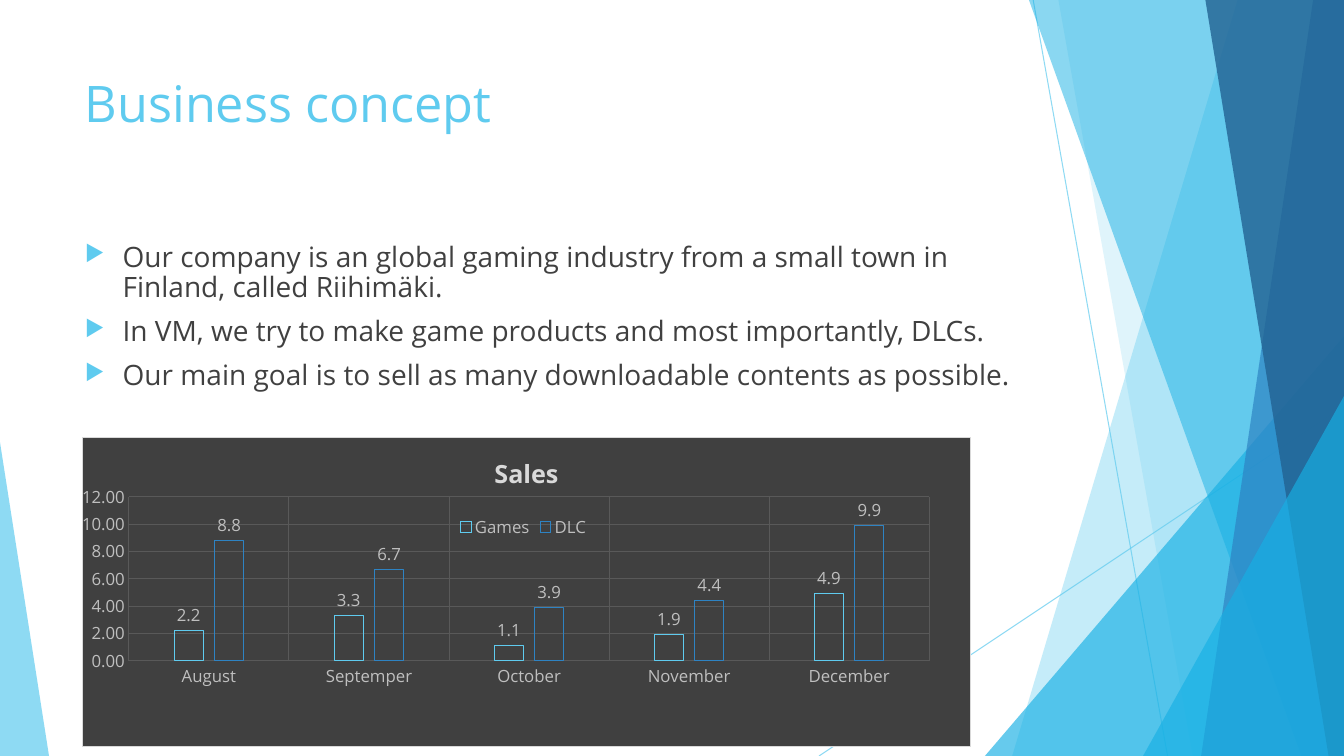
from lxml import etree
from pptx import Presentation
from pptx.chart.data import CategoryChartData
from pptx.dml.color import RGBColor
from pptx.enum.chart import XL_CHART_TYPE, XL_LABEL_POSITION, XL_LEGEND_POSITION, XL_TICK_MARK
from pptx.enum.shapes import MSO_CONNECTOR, MSO_SHAPE
from pptx.oxml import parse_xml
from pptx.oxml.ns import nsdecls, qn
from pptx.util import Pt

COLUMNS = XL_CHART_TYPE.COLUMN_CLUSTERED
OUTSIDE_END = XL_LABEL_POSITION.OUTSIDE_END
LEGEND_TOP = XL_LEGEND_POSITION.TOP
NO_TICK = XL_TICK_MARK.NONE
STRAIGHT = MSO_CONNECTOR.STRAIGHT
TRIANGLE = MSO_SHAPE.ISOSCELES_TRIANGLE

FONT = "Open Sans"
WIDTH, HEIGHT = 960, 540
COLORS = {
    "sky": "5FCBEF",
    "cyan": "17B0E4",
    "blue": "2E83C3",
    "navy": "226292",
    "dark": "404040",
    "grid": "595959",
    "label": "BFBFBF",
    "light": "D9D9D9",
}


def rgb(name):
    return RGBColor.from_string(COLORS[name])


def set_alpha(fill, percent):
    """Make a solid fill or line fill see-through."""
    color = fill._xPr.find(".//" + qn("a:srgbClr"))
    etree.SubElement(color, qn("a:alpha")).set("val", str(percent * 1000))


deck = Presentation()
deck.slide_width, deck.slide_height = Pt(WIDTH), Pt(HEIGHT)
page = deck.slides.add_slide(deck.slide_layouts[6])

# Thin crossing lines
for x1, y1, x2, y2 in [(738, 0, 834, HEIGHT), (WIDTH, 290, 585, HEIGHT)]:
    line = page.shapes.add_connector(STRAIGHT, Pt(x1), Pt(y1), Pt(x2), Pt(y2))
    line.line.width = Pt(0.75)
    line.line.color.rgb = rgb("sky")
    set_alpha(line.line.fill, 70)
    etree.SubElement(line.element.spPr, qn("a:effectLst"))

# Bands run from top to bottom along the right edge: top left x, bottom left x.
# Triangles stand on the bottom edge: left, top, width, apex position.
facets = [
    ("band", (884, 723), "sky", 36),
    ("band", (756, 852), "sky", 20),
    ("triangle", (703.5, 240, 256.5, 1), "cyan", 66),
    ("band", (735, 929.5), "cyan", 50),
    ("band", (938, 858), "blue", 70),
    ("band", (861, 949), "navy", 80),
    ("triangle", (816.5, 283, 143.5, 1), "cyan", 66),
    ("triangle", (0, 316, 35, 0), "sky", 70),
]
for kind, geometry, color, alpha in facets:
    if kind == "band":
        top_x, bottom_x = geometry
        outline = page.shapes.build_freeform(Pt(top_x), Pt(0))
        corners = [(WIDTH, 0), (WIDTH, HEIGHT), (bottom_x, HEIGHT)]
        outline.add_line_segments([(Pt(x), Pt(y)) for x, y in corners], close=True)
        facet = outline.convert_to_shape()
    else:
        left, top, width, apex = geometry
        facet = page.shapes.add_shape(TRIANGLE, Pt(left), Pt(top), Pt(width), Pt(HEIGHT - top))
        facet.adjustments[0] = apex
    facet.shadow.inherit = False
    facet.line.fill.background()
    facet.fill.solid()
    facet.fill.fore_color.rgb = rgb(color)
    set_alpha(facet.fill, alpha)

# Title and bullet list
texts = [
    (48, 104, 36, "sky", ["Business concept"]),
    (170, 305, 20, "dark", [
        "Our company is an global gaming industry from a small town in Finland, called Riihimäki.",
        "In VM, we try to make game products and most importantly, DLCs.",
        "Our main goal is to sell as many downloadable contents as possible.",
    ]),
]
for top, height, size, color, lines in texts:
    box = page.shapes.add_textbox(Pt(53.5), Pt(top), Pt(677), Pt(height))
    frame = box.text_frame
    frame.word_wrap = True
    for index, words in enumerate(lines):
        para = frame.paragraphs[0] if index == 0 else frame.add_paragraph()
        span = para.add_run()
        span.text = words
        span.font.name = FONT
        span.font.size = Pt(size)
        span.font.color.rgb = rgb(color)
        if len(lines) > 1:
            para.space_before = Pt(10)
            para.line_spacing = 0.9
            props = para._p.get_or_add_pPr()
            props.set("marL", str(Pt(27)))
            props.set("indent", str(-Pt(27)))
            bullet_color = etree.SubElement(props, qn("a:buClr"))
            etree.SubElement(bullet_color, qn("a:srgbClr")).set("val", COLORS["sky"])
            etree.SubElement(props, qn("a:buSzPct")).set("val", "80000")
            etree.SubElement(props, qn("a:buChar")).set("char", "▶")

# Sales chart
sales = CategoryChartData(number_format="0.0")
sales.categories = ["August", "Septemper", "October", "November", "December"]
sales.add_series("Games", [2.2, 3.3, 1.1, 1.9, 4.9])
sales.add_series("DLC", [8.8, 6.7, 3.9, 4.4, 9.9])
chart = page.shapes.add_chart(COLUMNS, Pt(58.6), Pt(312), Pt(634.8), Pt(221.6), sales).chart
chart.font.name = FONT
chart.font.size = Pt(12)
chart.font.color.rgb = rgb("label")

chart.has_title = True
span = chart.chart_title.text_frame.paragraphs[0].add_run()
span.text = "Sales"
span.font.name = FONT
span.font.size = Pt(18)
span.font.bold = True
span.font.color.rgb = rgb("light")

chart.has_legend = True
chart.legend.position = LEGEND_TOP
chart.legend.include_in_layout = False

for axis in (chart.category_axis, chart.value_axis):
    axis.major_tick_mark = axis.minor_tick_mark = NO_TICK
    axis.format.line.fill.background()
    axis.has_major_gridlines = True
    axis.major_gridlines.format.line.color.rgb = rgb("grid")
    axis.major_gridlines.format.line.width = Pt(0.75)
values = chart.value_axis
values.minimum_scale, values.maximum_scale, values.major_unit = 0, 12, 2
values.tick_labels.number_format = "0.00"
values.tick_labels.number_format_is_linked = False

plot = chart.plots[0]
plot.gap_width, plot.overlap = 315, -40
plot.vary_by_categories = False
plot.has_data_labels = True
plot.data_labels.show_value = True
plot.data_labels.position = OUTSIDE_END
for series, color in zip(plot.series, ("sky", "blue")):
    series.format.fill.background()
    series.format.line.color.rgb = rgb(color)
    series.format.line.width = Pt(0.75)

# Manual places inside the chart, as fractions of its size
plot_area = chart.element.find(".//" + qn("c:plotArea"))
legend = chart.legend._element
placements = [
    (plot_area, 0, {"x": 0.052, "y": 0.193, "w": 0.902, "h": 0.53}),
    (legend, 1, {"x": 0.42, "y": 0.24}),
]
for parent, position, fractions in placements:
    for previous in parent.findall(qn("c:layout")):
        parent.remove(previous)
    target = '<c:layoutTarget val="inner"/>' if parent is plot_area else ""
    modes = "".join(f'<c:{key}Mode val="edge"/>' for key in "xy")
    sizes = "".join(f'<c:{key} val="{value}"/>' for key, value in fractions.items())
    parent.insert(position, parse_xml(
        f'<c:layout {nsdecls("c")}><c:manualLayout>{target}{modes}{sizes}</c:manualLayout></c:layout>'))

chart.element.find(qn("c:chart")).addnext(parse_xml(
    f'<c:spPr {nsdecls("c", "a")}>'
    f'<a:solidFill><a:srgbClr val="{COLORS["dark"]}"/></a:solidFill>'
    f'<a:ln w="{Pt(0.75)}"><a:solidFill><a:srgbClr val="{COLORS["light"]}"/></a:solidFill></a:ln>'
    '</c:spPr>'))

deck.save("out.pptx")
